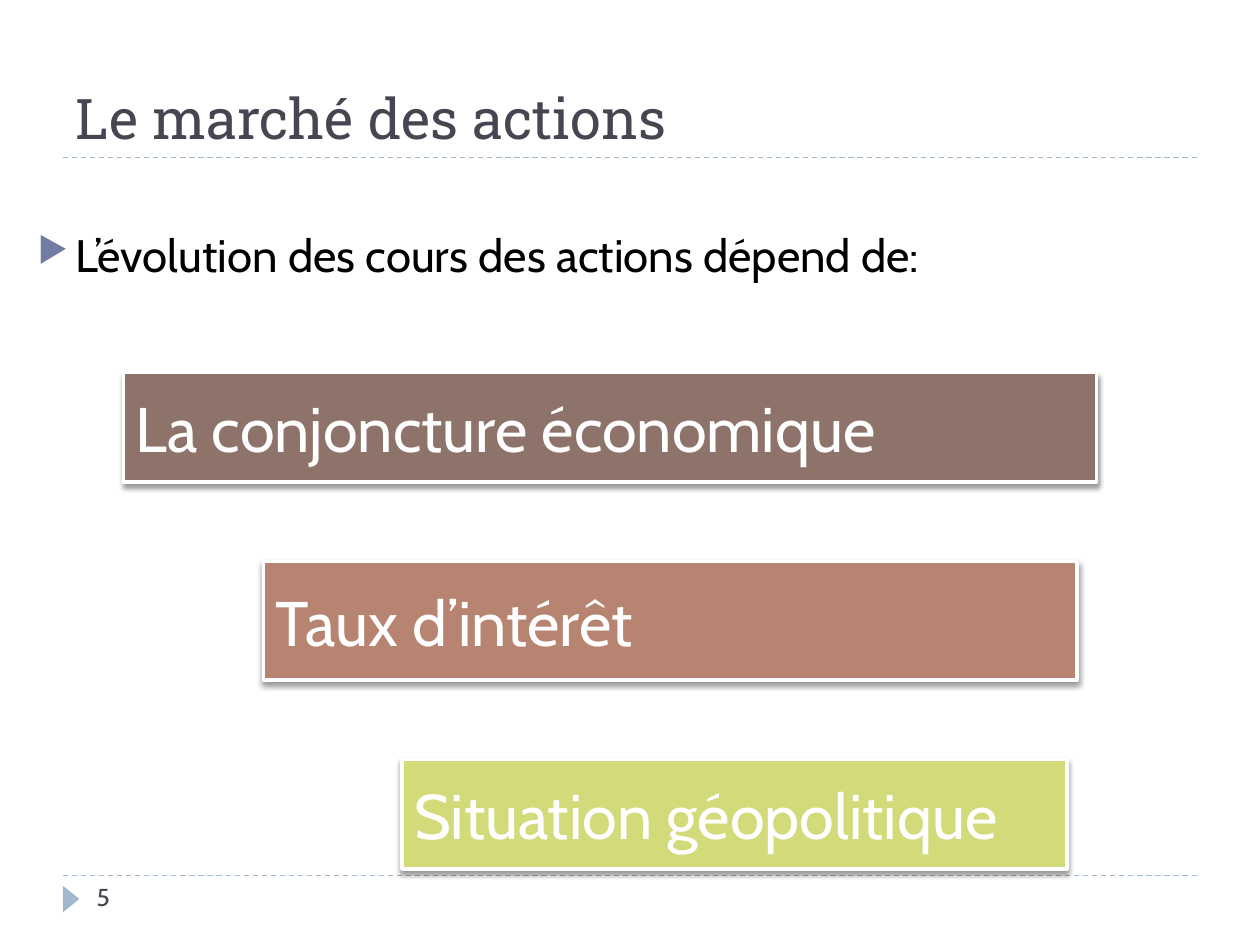
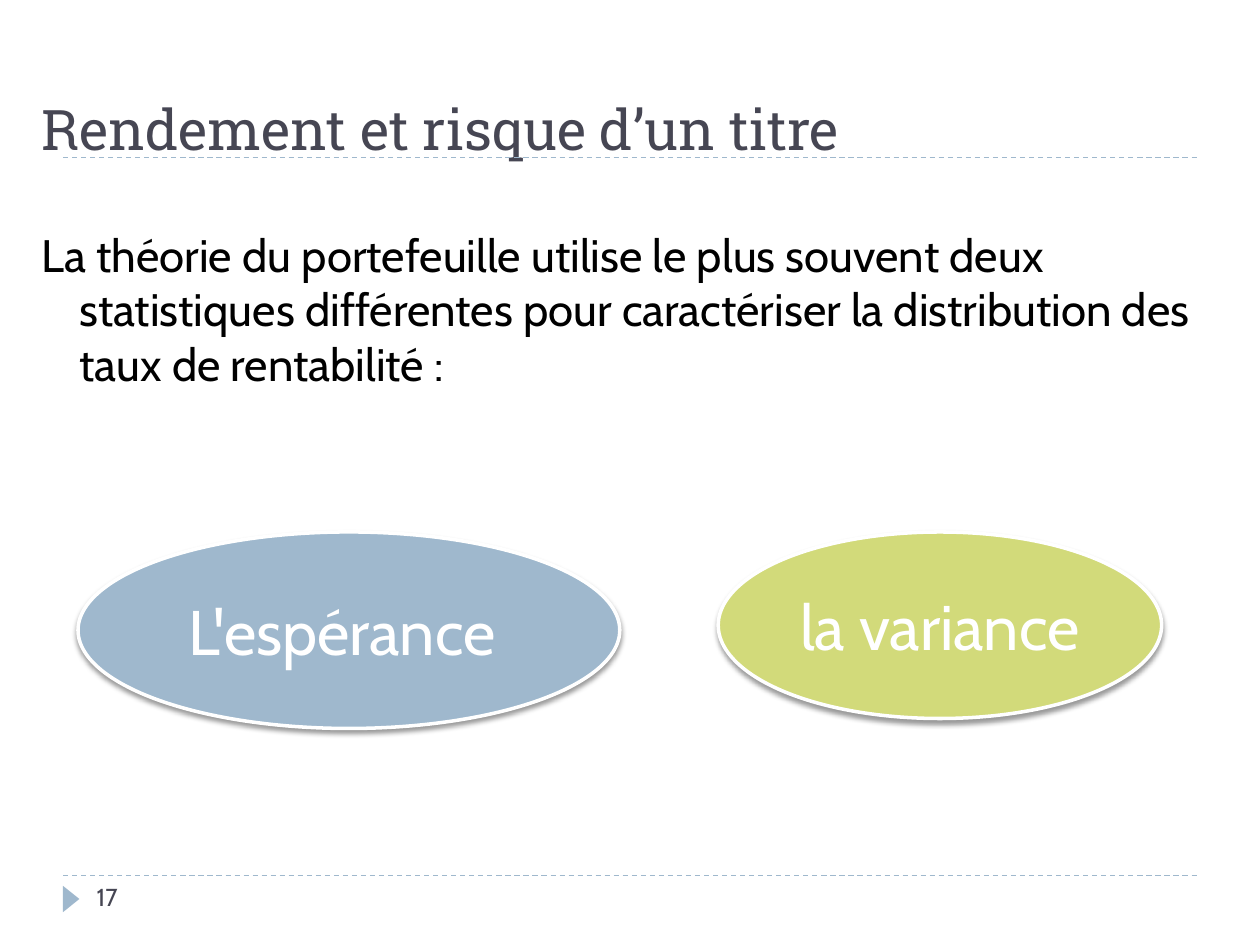
from dataclasses import dataclass

from lxml import etree
from pptx import Presentation
from pptx.dml.color import RGBColor
from pptx.enum.dml import MSO_LINE_DASH_STYLE
from pptx.enum.shapes import MSO_CONNECTOR_TYPE, MSO_SHAPE
from pptx.enum.text import MSO_ANCHOR, MSO_AUTO_SIZE, PP_ALIGN
from pptx.oxml.ns import qn
from pptx.util import Pt

RECTANGLE = MSO_SHAPE.RECTANGLE
OVAL = MSO_SHAPE.OVAL
TRIANGLE = MSO_SHAPE.ISOSCELES_TRIANGLE
STRAIGHT = MSO_CONNECTOR_TYPE.STRAIGHT
DASH = MSO_LINE_DASH_STYLE.DASH
LEFT, CENTER = PP_ALIGN.LEFT, PP_ALIGN.CENTER
TOP, MIDDLE, BOTTOM = MSO_ANCHOR.TOP, MSO_ANCHOR.MIDDLE, MSO_ANCHOR.BOTTOM
NO_AUTOFIT = MSO_AUTO_SIZE.NONE

TITLE_ONLY = 5
TITLE_FONT, BODY_FONT = "Roboto Slab", "Cabin"
SLATE, BLUE, INDIGO = "464653", "9FB8CD", "727CA3"
BROWN, CLAY, LIME = "8E736A", "B88472", "D2DA7A"
BLACK, WHITE = "000000", "FFFFFF"
RULE_LEFT, RULE_RIGHT = 36, 684
RULE_TOPS = (500.4, 90)
INDENT = 21.6


@dataclass
class Area:
    left: float
    top: float
    width: float
    height: float

    def lengths(self) -> tuple:
        return Pt(self.left), Pt(self.top), Pt(self.width), Pt(self.height)


@dataclass
class TextStyle:
    size: float
    color: str
    font: str = BODY_FONT
    align: PP_ALIGN = LEFT
    anchor: MSO_ANCHOR = TOP


@dataclass
class Block:
    text: str
    area: Area
    fill: str


@dataclass
class Content:
    number: str
    title: str
    title_area: Area
    body: str
    body_area: Area
    bulleted: bool
    block_shape: MSO_SHAPE
    block_align: PP_ALIGN
    blocks: list[Block]


TITLE_STYLE = TextStyle(32, SLATE, TITLE_FONT, anchor=BOTTOM)
NUMBER_STYLE = TextStyle(14, SLATE)
BODY_STYLE = TextStyle(26, BLACK)

CONTENTS = [
    Content(
        "5", "Le marché des actions", Area(36, 12.2, 648, 77.8),
        "L’évolution des cours des actions dépend de:", Area(14.4, 126, 676, 393),
        True, RECTANGLE, LEFT,
        [
            Block("La conjoncture économique", Area(70.6, 213, 556, 62.6), BROWN),
            Block("Taux d’intérêt", Area(150.5, 321, 465, 67.7), CLAY),
            Block("Situation géopolitique", Area(229.7, 434, 380, 62.6), LIME),
        ],
    ),
    Content(
        "17", "Rendement et risque d’un titre", Area(16.6, 18, 673, 77.8),
        "La théorie du portefeuille utilise le plus souvent deux statistiques "
        "différentes pour caractériser la distribution des taux de rentabilité :",
        Area(16.6, 126, 673, 397), False, OVAL, CENTER,
        [
            Block("L'espérance ", Area(44.6, 304, 309.6, 112.3), BLUE),
            Block("la variance", Area(410.4, 304, 253.4, 106.6), LIME),
        ],
    ),
]


def rgb(value: str) -> RGBColor:
    return RGBColor.from_string(value)


def write(box, text: str, style: TextStyle):
    frame = box.text_frame
    frame.word_wrap = True
    frame.auto_size = NO_AUTOFIT
    frame.vertical_anchor = style.anchor
    para = frame.paragraphs[0]
    para.alignment = style.align
    span = para.add_run()
    span.text = text
    span.font.name = style.font
    span.font.size = Pt(style.size)
    span.font.color.rgb = rgb(style.color)
    return para


def add_text(page, area: Area, text: str, style: TextStyle):
    return write(page.shapes.add_textbox(*area.lengths()), text, style)


def add_rule(page, top: float) -> None:
    rule = page.shapes.add_connector(
        STRAIGHT, Pt(RULE_LEFT), Pt(top), Pt(RULE_RIGHT), Pt(top))
    rule.line.color.rgb = rgb(BLUE)
    rule.line.width = Pt(0.75)
    rule.line.dash_style = DASH
    etree.SubElement(rule._element.spPr, qn("a:effectLst"))


def add_filled(page, kind: MSO_SHAPE, area: Area, fill: str):
    shape = page.shapes.add_shape(kind, *area.lengths())
    shape.shadow.inherit = False
    shape.fill.solid()
    shape.fill.fore_color.rgb = rgb(fill)
    shape.line.fill.background()
    return shape


def add_shadow(shape) -> None:
    effects = shape._element.spPr.find(qn("a:effectLst"))
    shadow = etree.SubElement(
        effects, qn("a:outerShdw"), blurRad=str(Pt(3)), dist=str(Pt(2)),
        dir="5400000", rotWithShape="0")
    color = etree.SubElement(shadow, qn("a:srgbClr"), val=BLACK)
    etree.SubElement(color, qn("a:alpha"), val="40000")


def add_block(page, kind: MSO_SHAPE, block: Block, align: PP_ALIGN) -> None:
    shape = add_filled(page, kind, block.area, block.fill)
    shape.line.color.rgb = rgb(WHITE)
    shape.line.width = Pt(2)
    add_shadow(shape)
    write(shape, block.text, TextStyle(36, WHITE, align=align, anchor=MIDDLE))


def add_bullet(para) -> None:
    properties = para._p.get_or_add_pPr()
    color = etree.SubElement(properties, qn("a:buClr"))
    etree.SubElement(color, qn("a:srgbClr"), val=INDIGO)
    etree.SubElement(properties, qn("a:buSzPct"), val="76000")
    etree.SubElement(properties, qn("a:buChar"), char="▶")


def add_body(page, content: Content) -> None:
    para = add_text(page, content.body_area, content.body, BODY_STYLE)
    para.space_before = Pt(6)
    properties = para._p.get_or_add_pPr()
    properties.set("marL", str(Pt(INDENT)))
    properties.set("indent", str(-Pt(INDENT)))
    if content.bulleted:
        add_bullet(para)


def add_frame(page, number: str) -> None:
    for top in RULE_TOPS:
        add_rule(page, top)
    marker = add_filled(page, TRIANGLE, Area(33.1, 509, 15.1, 9.4), BLUE)
    marker.rotation = 90
    add_text(page, Area(48.2, 500.4, 156, 28.8), number, NUMBER_STYLE)


def place_title(page, content: Content) -> None:
    title = page.shapes.title
    title.left, title.top, title.width, title.height = content.title_area.lengths()
    write(title, content.title, TITLE_STYLE)


def add_page(deck, content: Content) -> None:
    page = deck.slides.add_slide(deck.slide_layouts[TITLE_ONLY])
    add_frame(page, content.number)
    place_title(page, content)
    add_body(page, content)
    for block in content.blocks:
        add_block(page, content.block_shape, block, content.block_align)


def main() -> None:
    deck = Presentation()
    deck.slide_width, deck.slide_height = Pt(720), Pt(540)
    for content in CONTENTS:
        add_page(deck, content)
    deck.save("out.pptx")


if __name__ == "__main__":
    main()
